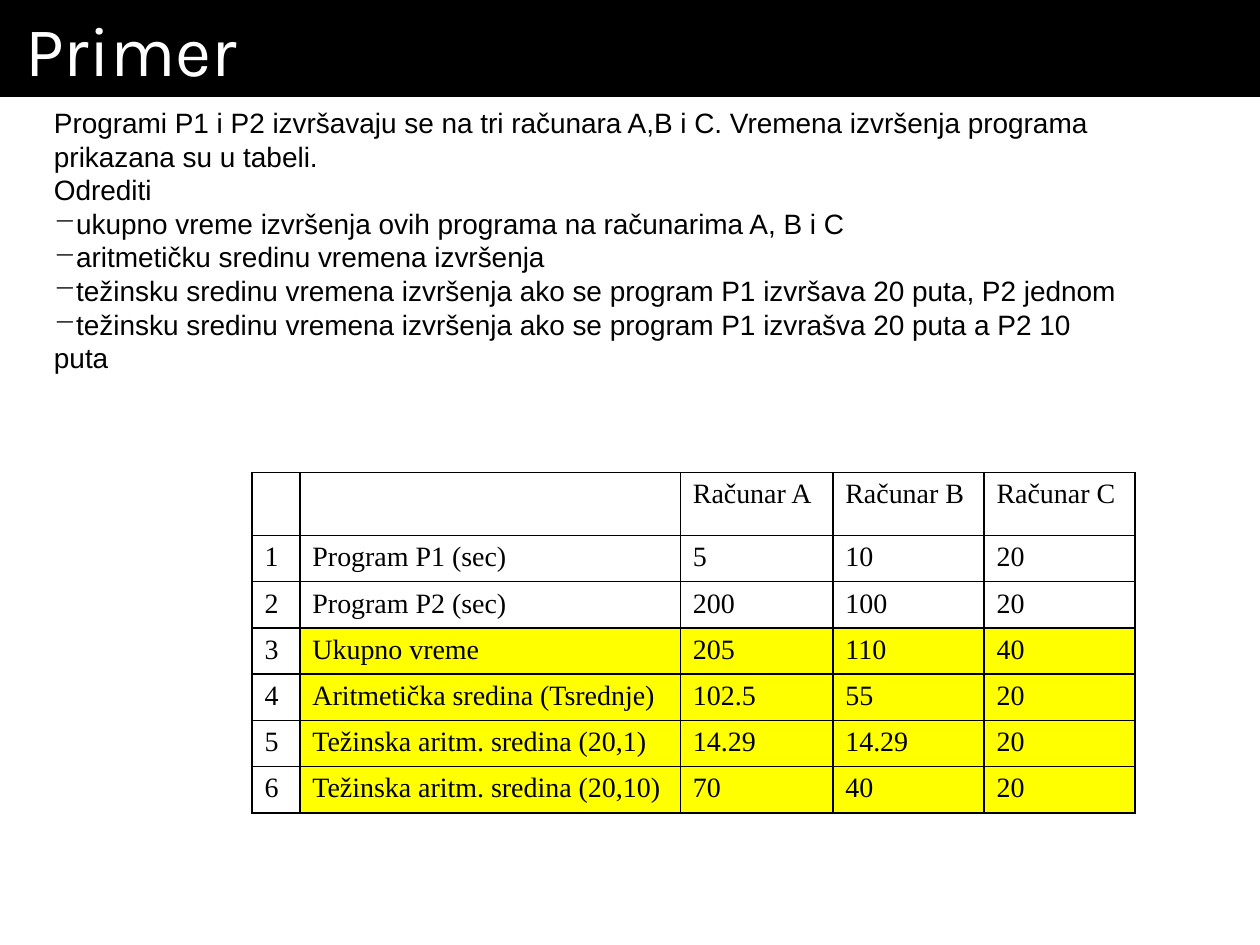
from lxml.etree import SubElement
from pptx import Presentation
from pptx.dml.color import RGBColor
from pptx.enum.text import MSO_ANCHOR as Anchor, MSO_AUTO_SIZE as AutoSize, PP_ALIGN as Align
from pptx.oxml.ns import qn
from pptx.util import Inches, Pt

COLORS = {"black": "000000", "white": "FFFFFF", "yellow": "FFFF00"}
INTRO = [
    "Programi P1 i P2 izvršavaju se na tri računara A,B i C. "
    "Vremena izvršenja programa prikazana su u tabeli.",
    "Odrediti",
]
TASKS = [
    "ukupno vreme izvršenja ovih programa na računarima A, B i C",
    "aritmetičku sredinu vremena izvršenja",
    "težinsku sredinu vremena izvršenja ako se program P1 izvršava 20 puta, P2 jednom",
    "težinsku sredinu vremena izvršenja ako se program P1 izvrašva 20 puta a P2 10 puta",
]
ROWS = [
    ["", "", "Računar A", "Računar B", "Računar C"],
    ["1", "Program P1 (sec)", "5", "10", "20"],
    ["2", "Program P2 (sec)", "200", "100", "20"],
    ["3", "Ukupno vreme", "205", "110", "40"],
    ["4", "Aritmetička sredina (Tsrednje)", "102.5", "55", "20"],
    ["5", "Težinska aritm. sredina (20,1)", "14.29", "14.29", "20"],
    ["6", "Težinska aritm. sredina (20,10)", "70", "40", "20"],
]
COL_WIDTHS = [0.38, 3.02, 1.21, 1.2, 1.2]
HEADER_HEIGHT = 0.5
FIRST_RESULT_ROW = 3


def rgb(name):
    """Return the named colour."""
    return RGBColor.from_string(COLORS[name])


def style(p, font, size, color):
    """Set the font of a left-aligned paragraph."""
    p.alignment = Align.LEFT
    p.font.name = font
    p.font.size = Pt(size)
    p.font.color.rgb = rgb(color)


def add_title(s, text, left, top, width, height):
    """Turn the title placeholder into a black band."""
    sp = s.shapes.title
    sp.left, sp.top, sp.width, sp.height = map(Inches, (left, top, width, height))
    sp.fill.solid()
    sp.fill.fore_color.rgb = rgb("black")
    tf = sp.text_frame
    tf.text = text
    tf.auto_size = AutoSize.NONE
    tf.vertical_anchor = Anchor.MIDDLE
    tf.margin_left = tf.margin_right = Inches(0.2)
    tf.margin_top = tf.margin_bottom = Inches(0.05)
    style(tf.paragraphs[0], "Karla", 40, "white")


def add_assignment(s, left, top, width, height):
    """Write the introduction and the dashed list of tasks."""
    tf = s.shapes.add_textbox(*map(Inches, (left, top, width, height))).text_frame
    tf.word_wrap = True
    tf.vertical_anchor = Anchor.MIDDLE
    tf.text = "\n".join(INTRO + TASKS)
    for i, p in enumerate(tf.paragraphs):
        style(p, "Arial", 16, "black")
        if i >= len(INTRO):
            SubElement(p._p.get_or_add_pPr(), qn("a:buChar"), char="−")


def add_borders(cell):
    """Draw a one-point black line on each side of a cell."""
    tc_pr = cell._tc.get_or_add_tcPr()
    for side in "LRTB":
        ln = SubElement(tc_pr, qn(f"a:ln{side}"), w=str(Pt(1)))
        fill = SubElement(ln, qn("a:solidFill"))
        SubElement(fill, qn("a:srgbClr"), val=COLORS["black"])


def add_times_table(s, left, top, width, height):
    """Build the table of times with highlighted results."""
    box = map(Inches, (left, top, width, height))
    table = s.shapes.add_table(len(ROWS), len(COL_WIDTHS), *box).table
    table.first_row = table.horz_banding = False
    for col, col_width in zip(table.columns, COL_WIDTHS):
        col.width = Inches(col_width)
    row_height = (height - HEADER_HEIGHT) / (len(ROWS) - 1)
    for r, values in enumerate(ROWS):
        table.rows[r].height = Inches(row_height if r else HEADER_HEIGHT)
        for c, value in enumerate(values):
            cell = table.cell(r, c)
            cell.text = value
            style(cell.text_frame.paragraphs[0], "Times New Roman", 16, "black")
            add_borders(cell)
            if r >= FIRST_RESULT_ROW and c:
                cell.fill.solid()
                cell.fill.fore_color.rgb = rgb("yellow")
            else:
                cell.fill.background()


def main():
    """Build and save the slide."""
    prs = Presentation()
    prs.slide_width, prs.slide_height = Inches(10), Inches(7.5)
    s = prs.slides.add_slide(prs.slide_layouts[5])
    add_title(s, "Primer", 0, 0, 10, 0.77)
    add_assignment(s, 0.33, 0.92, 8.75, 1.97)
    add_times_table(s, 2, 3.75, 7, 2.7)
    prs.save("out.pptx")


if __name__ == "__main__":
    main()
